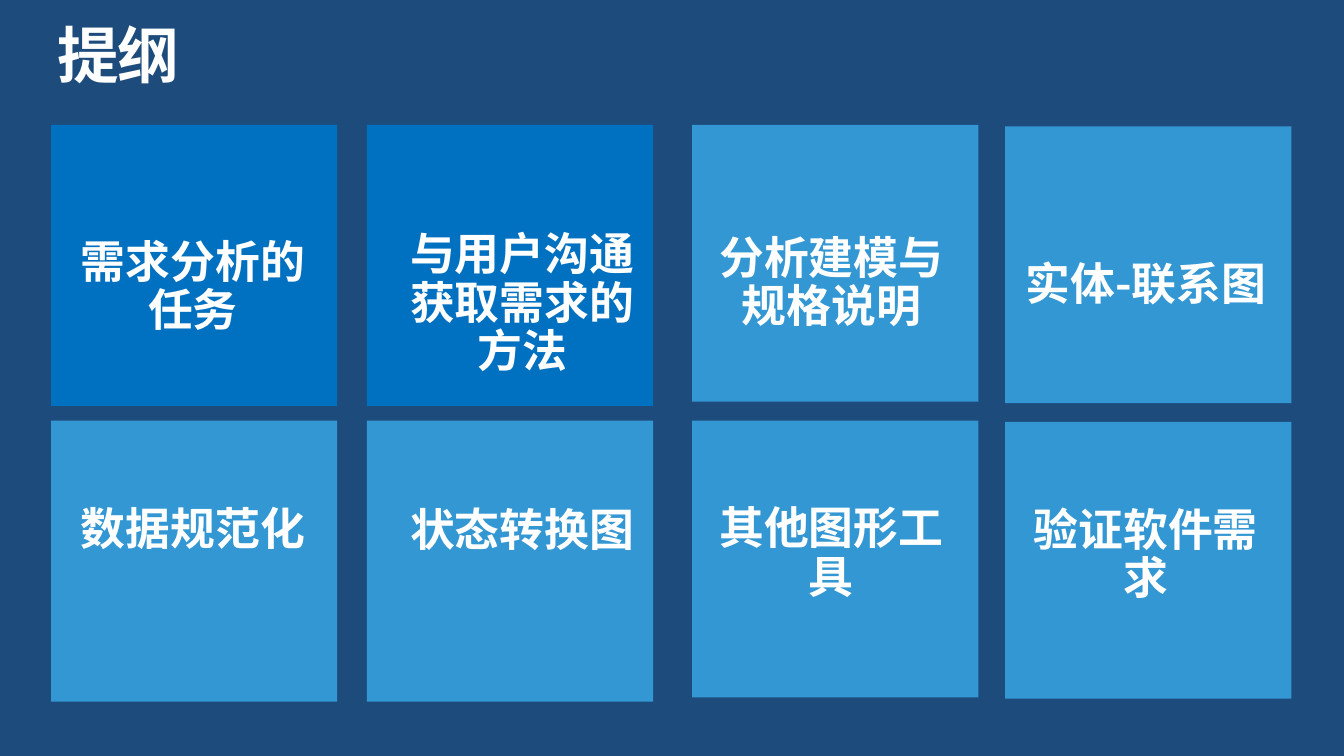
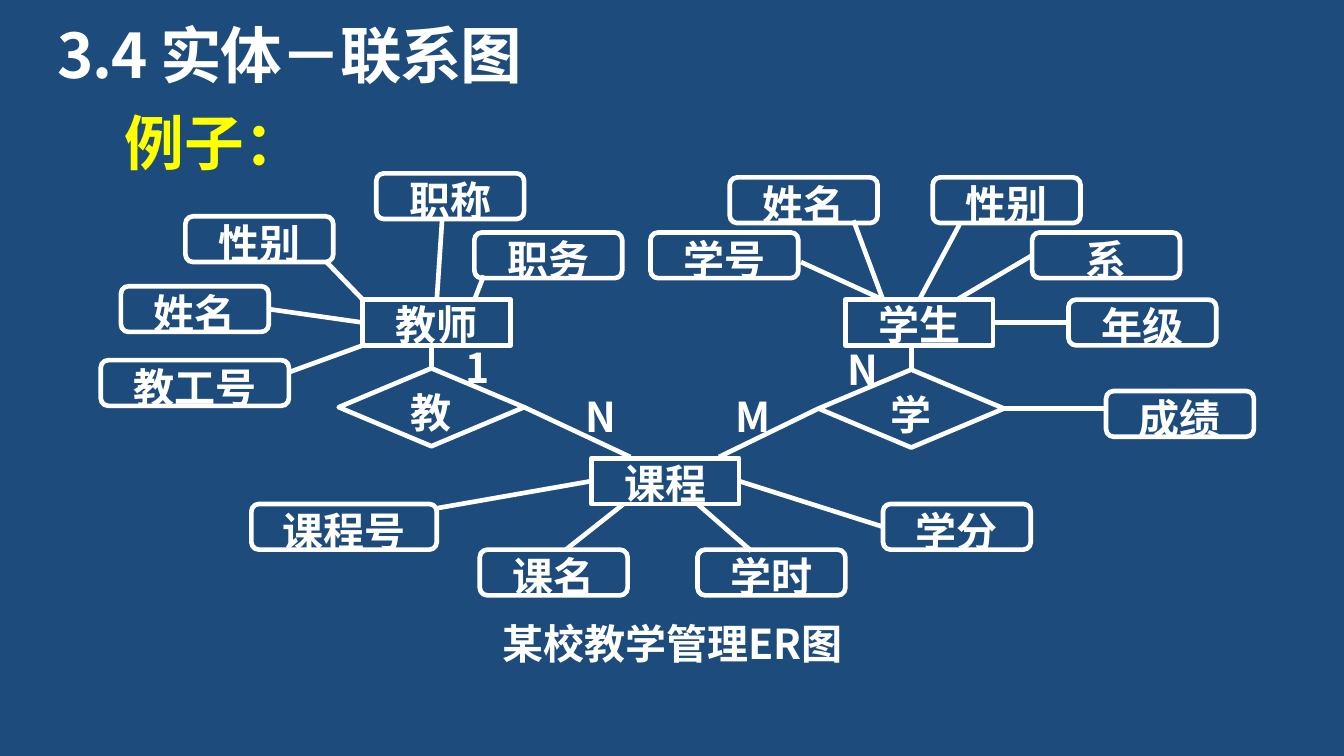
from lxml.etree import SubElement
from pptx import Presentation
from pptx.dml.color import RGBColor
from pptx.enum.shapes import MSO_CONNECTOR, MSO_SHAPE
from pptx.enum.text import MSO_ANCHOR, PP_ALIGN
from pptx.oxml.ns import qn
from pptx.util import Inches, Pt

COLORS = {
    "background": "1D4C7C",
    "done": "0070C0",
    "upcoming": "3397D3",
    "text": "FFFFFF",
    "accent": "FFFF00",
}
FONT = "Noto Sans CJK SC"
TITLES = ["提纲", "3.4 实体－联系图"]
TOP, LEFT, BOTTOM, RIGHT = range(4)


def write_text(shape, text, size, align=PP_ALIGN.CENTER, anchor=MSO_ANCHOR.TOP,
               color="text", line_spacing=None, tracking=None, margins=(0, 0)):
    """Fill the shape with one bold paragraph; tracking is in hundredths of a point."""
    frame = shape.text_frame
    frame.word_wrap = True
    frame.vertical_anchor = anchor
    frame.margin_left = frame.margin_right = Inches(margins[0])
    frame.margin_top = frame.margin_bottom = Inches(margins[1])
    paragraph = frame.paragraphs[0]
    paragraph.text = text
    paragraph.alignment = align
    if line_spacing:
        paragraph.line_spacing = line_spacing
    paragraph.font.name = FONT
    paragraph.font.size = Pt(size)
    paragraph.font.bold = True
    paragraph.font.color.rgb = RGBColor.from_string(COLORS[color])
    properties = paragraph._p.pPr.find(qn("a:defRPr"))
    SubElement(properties, qn("a:ea")).set("typeface", FONT)
    if tracking:
        properties.set("spc", str(tracking))


def add_outlined(slide, preset, text, left, top, width, height):
    shape = slide.shapes.add_shape(
        preset, Inches(left), Inches(top), Inches(width), Inches(height))
    shape.shadow.inherit = False
    shape.fill.background()
    shape.line.color.rgb = RGBColor.from_string(COLORS["text"])
    shape.line.width = Pt(2.5)
    write_text(shape, text, 22)
    return shape


presentation = Presentation()
presentation.slide_width = Inches(10)
presentation.slide_height = Inches(10 * 9 / 16)

slides = []
for title in TITLES:
    slide = presentation.slides.add_slide(presentation.slide_layouts[6])
    slide.background.fill.solid()
    slide.background.fill.fore_color.rgb = RGBColor.from_string(COLORS["background"])
    title_box = slide.shapes.add_textbox(
        Inches(0.43), Inches(0.19), Inches(9.15), Inches(0.5))
    write_text(title_box, title, 33, PP_ALIGN.LEFT, line_spacing=0.9, tracking=-80)
    slides.append(slide)
outline_slide, diagram_slide = slides

# Outline: two rows of four tiles
# Column: tile left, tile height, label left, shift down
columns = [(0.38, 2.09, 0.54, 0), (2.73, 2.09, 2.99, 0),
           (5.15, 2.06, 5.29, 0), (7.48, 2.06, 7.63, 0.01)]
row_tops = [0.93, 3.13]
# Topic: text, label top, label height, tile colour
topics = [
    ("需求分析的任务", 1.78, 0.73, "done"),
    ("与用户沟通获取需求的方法", 1.72, 1.09, "done"),
    ("分析建模与规格说明", 1.75, 0.73, "upcoming"),
    ("实体-联系图", 1.76, 0.73, "upcoming"),
    ("数据规范化", 3.77, 0.36, "upcoming"),
    ("状态转换图", 3.78, 0.36, "upcoming"),
    ("其他图形工具", 3.76, 0.73, "upcoming"),
    ("验证软件需求", 3.77, 0.73, "upcoming"),
]
for index, (text, label_top, label_height, color) in enumerate(topics):
    row, column = divmod(index, len(columns))
    tile_left, tile_height, label_left, shift = columns[column]
    group = outline_slide.shapes.add_group_shape()
    tile = group.shapes.add_shape(
        MSO_SHAPE.RECTANGLE, Inches(tile_left), Inches(row_tops[row] + shift),
        Inches(2.13), Inches(tile_height))
    tile.shadow.inherit = False
    tile.fill.solid()
    tile.fill.fore_color.rgb = RGBColor.from_string(COLORS[color])
    tile.line.fill.background()
    label = group.shapes.add_textbox(
        Inches(label_left), Inches(label_top), Inches(1.79), Inches(label_height))
    write_text(label, text, 24, anchor=MSO_ANCHOR.MIDDLE, line_spacing=0.9)

# Entity-relationship diagram
entities = [
    ("teacher", "教师", 2.7, 2.23),
    ("student", "学生", 6.29, 2.23),
    ("course", "课程", 4.4, 3.41),
]
attributes = [
    ("student number", "学号", 4.84, 1.73, 1.1),
    ("student name", "姓名", 5.43, 1.32, 1.1),
    ("department", "系", 7.68, 1.73, 1.1),
    ("grade", "年级", 7.95, 2.23, 1.1),
    ("post", "职务", 3.53, 1.73, 1.1),
    ("student sex", "性别", 6.94, 1.32, 1.1),
    ("rank", "职称", 2.8, 1.29, 1.1),
    ("teacher sex", "性别", 1.38, 1.61, 1.1),
    ("teacher name", "姓名", 0.9, 2.13, 1.1),
    ("teacher number", "教工号", 0.75, 2.68, 1.4),
    ("score", "成绩", 8.23, 2.91, 1.1),
    ("credits", "学分", 6.57, 3.75, 1.1),
    ("hours", "学时", 5.19, 4.09, 1.1),
    ("course name", "课名", 3.57, 4.09, 1.1),
    ("course number", "课程号", 1.87, 3.75, 1.38),
]
relationships = [("teaches", "教", 2.52, 2.74), ("studies", "学", 6.09, 2.75)]

nodes = {}
for key, text, left, top in entities:
    nodes[key] = add_outlined(
        diagram_slide, MSO_SHAPE.RECTANGLE, text, left, top, 1.1, 0.34)
for key, text, left, top, width in attributes:
    nodes[key] = add_outlined(
        diagram_slide, MSO_SHAPE.FLOWCHART_ALTERNATE_PROCESS, text, left, top, width, 0.34)
for key, text, left, top in relationships:
    nodes[key] = add_outlined(
        diagram_slide, MSO_SHAPE.FLOWCHART_DECISION, text, left, top, 1.38, 0.58)

# Each end is a point, or a node with the side it joins
links = [
    ((3.21, 2.57), ("teaches", TOP)),
    ((6.78, 2.57), ("studies", TOP)),
    (("teaches", RIGHT), (4.69, 3.4)),
    (("studies", LEFT), (5.35, 3.4)),
    (("course", LEFT), (3.26, 3.78)),
    ((4.64, 3.75), (4.21, 4.09)),
    ((5.19, 3.75), (5.59, 4.1)),
    (("course", RIGHT), ("credits", LEFT)),
    (("studies", RIGHT), (8.23, 3.04)),
    (("student", RIGHT), ("grade", LEFT)),
    ((7.12, 2.23), ("department", LEFT)),
    (("student", TOP), (7.14, 1.67)),
    ((6.57, 2.23), (6.35, 1.64)),
    ((6.57, 2.23), (5.96, 1.95)),
    ((3.53, 2.23), (3.6, 2.05)),
    (("teacher", TOP), (3.29, 1.63)),
    ((2.7, 2.23), (2.43, 1.95)),
    (("teacher", LEFT), ("teacher name", RIGHT)),
    ((2.7, 2.57), (2.15, 2.77)),
]
for start, end in links:
    points = [(0, 0) if link_end[0] in nodes else link_end for link_end in (start, end)]
    connector = diagram_slide.shapes.add_connector(
        MSO_CONNECTOR.STRAIGHT, *[Inches(value) for point in points for value in point])
    if start[0] in nodes:
        connector.begin_connect(nodes[start[0]], start[1])
    if end[0] in nodes:
        connector.end_connect(nodes[end[0]], end[1])
    connector.line.color.rgb = RGBColor.from_string(COLORS["text"])
    connector.line.width = Pt(2.5)
    SubElement(connector._element.spPr, qn("a:effectLst"))

captions = [
    ("某校教学管理ER图", 2.67, 4.6, 4.67, PP_ALIGN.CENTER),
    ("M", 5.47, 2.91, 0.68, PP_ALIGN.JUSTIFY),
    ("N", 6.31, 2.56, 0.23, PP_ALIGN.JUSTIFY),
    ("1", 3.46, 2.55, 0.68, PP_ALIGN.JUSTIFY),
    ("N", 4.36, 2.91, 0.68, PP_ALIGN.JUSTIFY),
]
for text, left, top, width, align in captions:
    caption = diagram_slide.shapes.add_textbox(
        Inches(left), Inches(top), Inches(width), Inches(0.34))
    write_text(caption, text, 22, align)

example_label = diagram_slide.shapes.add_textbox(
    Inches(0.83), Inches(0.74), Inches(1.96), Inches(0.64))
write_text(example_label, "例子：", 32, PP_ALIGN.LEFT, color="accent", margins=(0.1, 0.05))

presentation.save("out.pptx")
